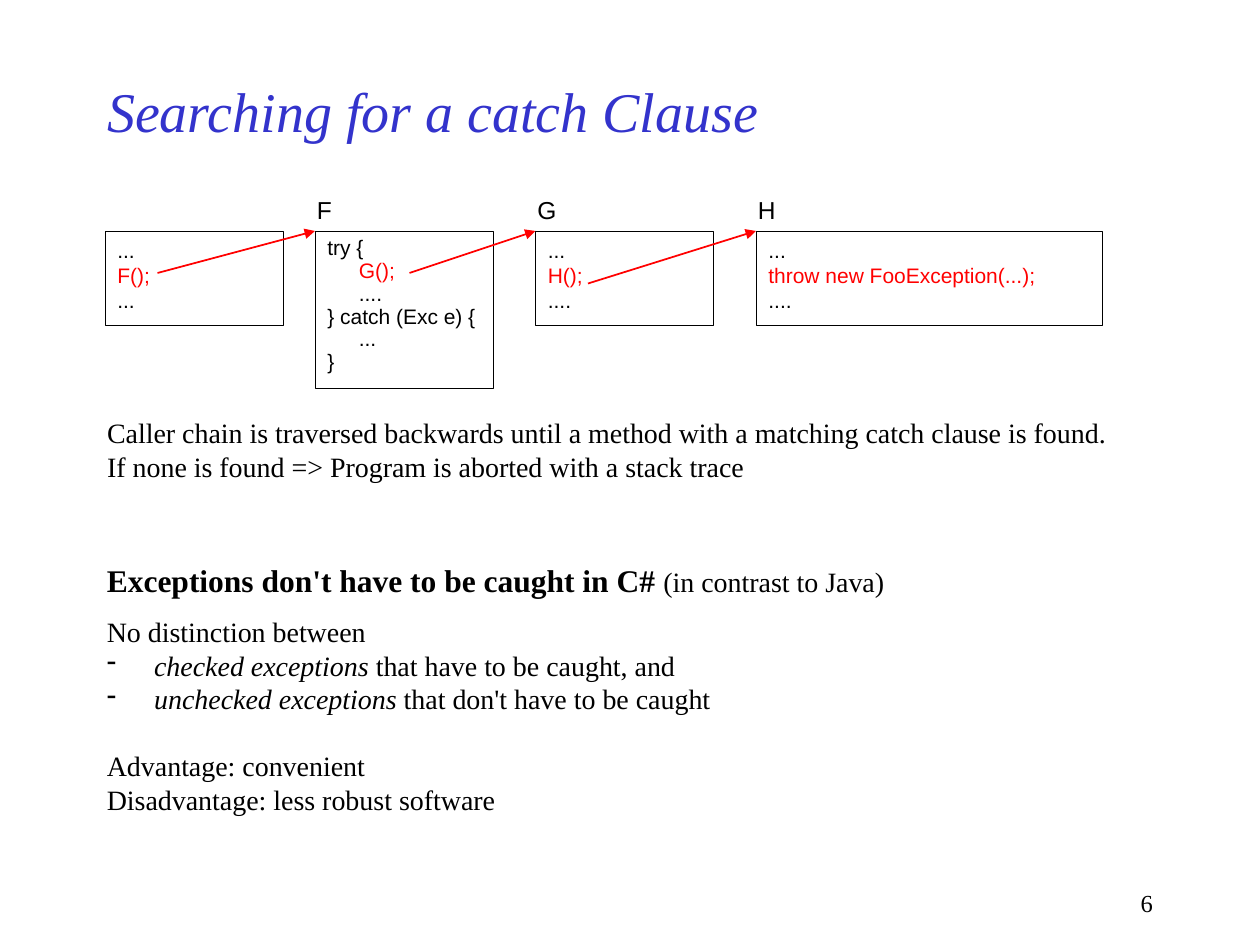
"""Build a slide on how a catch clause is searched along the caller chain."""
from lxml.etree import SubElement
from pptx import Presentation
from pptx.dml.color import RGBColor
from pptx.enum.shapes import MSO_CONNECTOR as Connector, MSO_SHAPE as Shape
from pptx.enum.text import MSO_ANCHOR as Anchor, MSO_AUTO_SIZE as AutoSize, PP_ALIGN as Align
from pptx.oxml.ns import qn
from pptx.util import Pt

COLORS = {"title": "3333CC", "text": "000000", "call": "FF0000"}
SERIF, SANS = "Times New Roman", "Arial"
BOX_TOP = 132


class SlideBuilder:
    """Holds the style and the current slide."""

    def __init__(self, presentation):
        self.slide = presentation.slides.add_slide(presentation.slide_layouts[1])

    def color(self, name):
        return RGBColor.from_string(COLORS[name])

    def place(self, shape, left, top, width, height):
        shape.left, shape.top = Pt(left), Pt(top)
        shape.width, shape.height = Pt(width), Pt(height)

    def fill_text(self, shape, paragraphs, size, font=SERIF, anchor=Anchor.TOP):
        frame = shape.text_frame
        frame.word_wrap = True
        frame.auto_size = AutoSize.NONE
        frame.vertical_anchor = anchor
        for index, options in enumerate(paragraphs):
            paragraph = frame.paragraphs[0] if index == 0 else frame.add_paragraph()
            self.style_paragraph(paragraph, size, font, **options)

    def style_paragraph(self, paragraph, size, font, runs, color="text", indent=0, bullet=None,
                        before=0, spacing=None, align=Align.LEFT, italic=None):
        properties = paragraph._p.get_or_add_pPr()
        hanging = 27 if bullet else 0
        properties.set("marL", str(Pt(indent + hanging)))
        properties.set("indent", str(Pt(-hanging)))
        if bullet:
            SubElement(properties, qn("a:buChar")).set("char", bullet)
        else:
            SubElement(properties, qn("a:buNone"))
        paragraph.alignment = align
        paragraph.space_before = Pt(before)
        if spacing:
            paragraph.line_spacing = Pt(spacing)
        paragraph.font.name = font
        paragraph.font.size = Pt(size)
        paragraph.font.italic = italic
        paragraph.font.color.rgb = self.color(color)
        for text, bold, slanted, run_size in runs:
            run = paragraph.add_run()
            run.text = text
            run.font.bold = bold
            run.font.italic = slanted
            run.font.size = run_size

    def title(self, text, *bounds):
        shape = self.slide.shapes.title
        self.place(shape, *bounds)
        self.fill_text(shape, [line(text, color="title", italic=True)], 32, anchor=Anchor.MIDDLE)

    def body(self, paragraphs, *bounds):
        shape = self.slide.placeholders[1]
        self.place(shape, *bounds)
        self.fill_text(shape, paragraphs, 16)

    def text(self, paragraphs, size, *bounds, font=SERIF):
        shape = self.slide.shapes.add_textbox(*map(Pt, bounds))
        self.fill_text(shape, paragraphs, size, font)

    def code_box(self, paragraphs, *bounds):
        shape = self.slide.shapes.add_shape(Shape.RECTANGLE, *map(Pt, bounds))
        shape.shadow.inherit = False
        shape.fill.background()
        shape.line.color.rgb = self.color("text")
        shape.line.width = Pt(0.5)
        self.fill_text(shape, paragraphs, 12, SANS)

    def arrow(self, *ends):
        connector = self.slide.shapes.add_connector(Connector.STRAIGHT, *map(Pt, ends))
        connector.line.color.rgb = self.color("call")
        connector.line.width = Pt(1)
        outline = connector._element.spPr.find(qn("a:ln"))
        SubElement(outline, qn("a:tailEnd")).set("type", "triangle")
        SubElement(connector._element.spPr, qn("a:effectLst"))


def part(text, bold=None, italic=None, size=None):
    return text, bold, italic, size


def line(*parts, **options):
    runs = [part(item) if isinstance(item, str) else item for item in parts]
    return {"runs": runs, **options}


def main():
    presentation = Presentation()
    presentation.slide_width, presentation.slide_height = Pt(720), Pt(540)
    builder = SlideBuilder(presentation)

    builder.title("Searching for a catch Clause", 54, 36, 540, 54)
    builder.body([
        line("Caller chain is traversed backwards until a method with a matching catch clause is found."),
        line("If none is found => Program is aborted with a stack trace"),
    ], 54, 234, 612, 49)

    try_block = [
        line(text, color=color, indent=indent, spacing=13)
        for text, color, indent in [
            ("try {", "text", 0), ("G();", "call", 18), ("....", "text", 18),
            ("} catch (Exc e) {", "text", 0), ("...", "text", 18), ("}", "text", 0),
        ]
    ]

    def calling(call, ending):
        return [line("..."), line(call, color="call"), line(ending)]

    methods = [
        (None, 60, 102, 54, calling("F();", "...")),
        ("F", 180, 102, 90, try_block),
        ("G", 306, 102, 54, calling("H();", "....")),
        ("H", 432, 198, 54, calling("throw new FooException(...);", "....")),
    ]
    for name, left, width, height, code in methods:
        builder.code_box(code, left, BOX_TOP, width, height)
        if name:
            builder.text([line(name)], 14, left - 6, 108, 26, 24, font=SANS)

    call_points = [(90, 156), (234, 156), (336, 162)]
    for (x, y), (_, target, *_) in zip(call_points, methods[1:]):
        builder.arrow(x, y, target, BOX_TOP)

    builder.text([
        line(part("Exceptions don't have to be caught in C# ", bold=True, size=Pt(18)),
             "(in contrast to Java)", before=4),
        line("No distinction between", before=9),
        line(part("checked exceptions", italic=True), " that have to be caught, and", bullet="-"),
        line(part("unchecked exceptions", italic=True), " that don't have to be caught", bullet="-"),
        line("Advantage: convenient", before=19),
        line("Disadvantage: less robust software"),
    ], 16, 54, 317, 612, 160)
    builder.text([line("6", align=Align.RIGHT)], 14, 516, 504, 150, 24)

    presentation.save("out.pptx")


if __name__ == "__main__":
    main()
